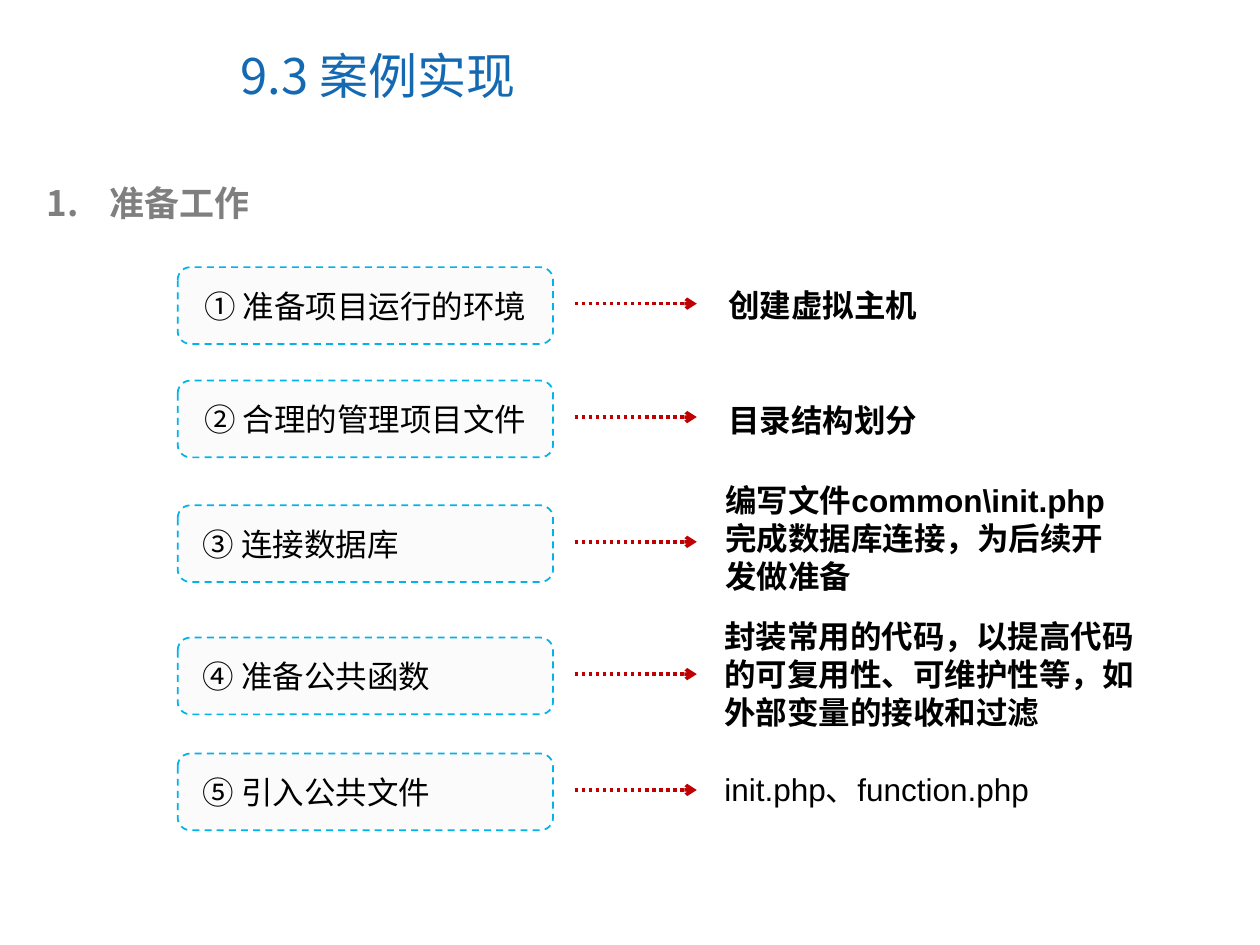
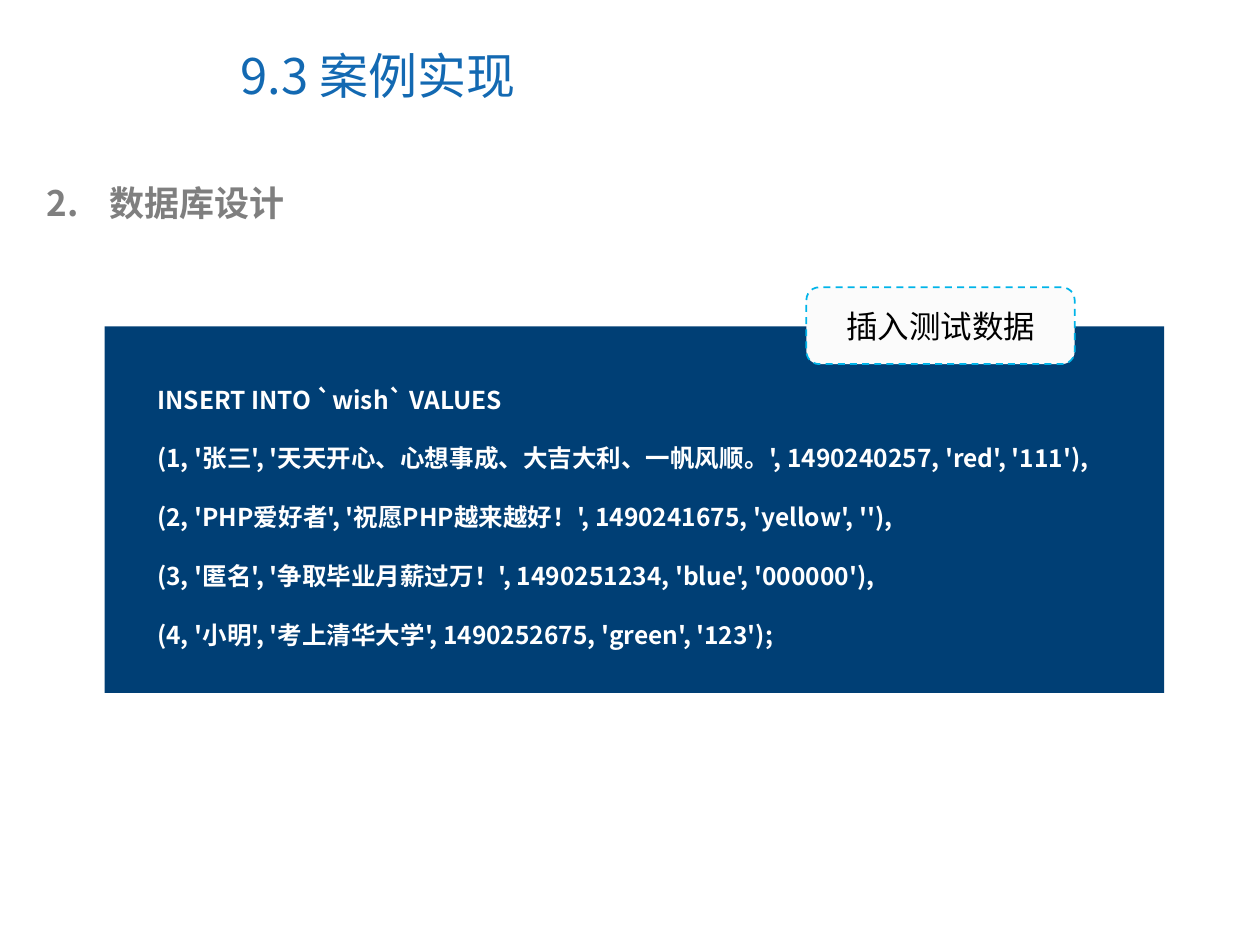
import pptx
import pptx.dml.color
import pptx.enum.dml
import pptx.enum.shapes
import pptx.enum.text
import pptx.oxml
import pptx.oxml.ns
import pptx.util
from lxml import etree

FONT = "Noto Sans CJK SC"
BLUE, GREY, BLACK, WHITE = "1369B2", "7F7F7F", "000000", "FFFFFF"
NAVY, CYAN, RED, PALE = "003F75", "00B4E9", "C00000", "FBFBFB"
LEFT = pptx.enum.text.PP_ALIGN.LEFT
CENTER = pptx.enum.text.PP_ALIGN.CENTER
SHAPES = pptx.enum.shapes.MSO_SHAPE
DASHES = pptx.enum.dml.MSO_LINE

deck = pptx.Presentation()
deck.slide_width = pptx.util.Inches(10)
deck.slide_height = pptx.util.Inches(7.5)
CELL = deck.slide_width / 100  # the grid has 100 columns and 75 rows


def color(value):
    return pptx.dml.color.RGBColor.from_string(value)


def add_text(page, text, at, size=18, font=FONT, ink=BLACK, bold=False,
             align=LEFT, card=False, middle=False, spacing=None):
    """Write text at (column, row, columns, rows), on a dashed card if asked."""
    place = [round(length * CELL) for length in at]
    if card:
        box = page.shapes.add_shape(SHAPES.ROUNDED_RECTANGLE, *place)
        box.shadow.inherit = False
        box.fill.solid()
        box.fill.fore_color.rgb = color(PALE)
        box.line.color.rgb = color(CYAN)
        box.line.width = pptx.util.Pt(1)
        box.line.dash_style = DASHES.DASH
    else:
        box = page.shapes.add_textbox(*place)
    frame = box.text_frame
    frame.word_wrap = True
    anchors = pptx.enum.text.MSO_ANCHOR
    frame.vertical_anchor = anchors.MIDDLE if card or middle else anchors.TOP
    frame.text = text
    for para in frame.paragraphs:
        para.alignment = align
        para.line_spacing = spacing
        for span in para.runs:
            span.font.size = pptx.util.Pt(size)
            span.font.name = font
            span.font.bold = bold
            span.font.color.rgb = color(ink)
            asian = etree.SubElement(span.font._element, pptx.oxml.ns.qn("a:ea"))
            asian.set("typeface", FONT)
    return box


# What both slides share: the title and a numbered heading
pages = []
for number, heading in enumerate(["准备工作", "数据库设计"], start=1):
    page = deck.slides.add_slide(deck.slide_layouts[6])
    pages.append(page)
    add_text(page, "9.3 案例实现", (18.1, 1.7, 51.6, 8.5), size=28, ink=BLUE, middle=True)
    box = add_text(page, heading, (2.7, 13.9, 92.2, 4.4), size=20, ink=GREY, bold=True)
    properties = box.text_frame.paragraphs[0]._p.get_or_add_pPr()
    indent = pptx.util.Inches(0.5)
    properties.set("marL", str(indent))
    properties.set("indent", str(-indent))
    tint = etree.SubElement(properties, pptx.oxml.ns.qn("a:buClr"))
    etree.SubElement(tint, pptx.oxml.ns.qn("a:srgbClr")).set("val", GREY)
    bullet = etree.SubElement(properties, pptx.oxml.ns.qn("a:buAutoNum"))
    bullet.set("type", "arabicPeriod")
    bullet.set("startAt", str(number))
steps_page, data_page = pages

# Steps: card row, card text, alignment, result place, result text, bold
steps = [
    (21.2, "① 准备项目运行的环境", CENTER, (56.8, 22.2, 17, 4), "创建虚拟主机", True),
    (30.2, "② 合理的管理项目文件", CENTER, (56.8, 31.3, 17, 4), "目录结构划分", True),
    (40.1, "③ 连接数据库", LEFT, (56.6, 37.7, 34.4, 10),
     "编写文件common\\init.php完成数据库连接，为后续开发做准备", True),
    (50.6, "④ 准备公共函数", LEFT, (56.5, 48.5, 34.5, 10),
     "封装常用的代码，以提高代码的可复用性、可维护性等，如外部变量的接收和过滤", True),
    (59.8, "⑤ 引入公共文件", LEFT, (56.5, 60.6, 34.5, 4), "init.php、function.php", False),
]
for row, step, align, result_at, result, bold in steps:
    card = add_text(steps_page, step, (14.1, row, 29.8, 6.1), font="Arial",
                    align=align, card=True)
    if align == LEFT:
        card.text_frame.margin_left = pptx.util.Inches(0.17)
    label = add_text(steps_page, result, result_at, font="Arial", bold=bold)
    label.text_frame.word_wrap = result_at[2] > 20

    ends = [round(length * CELL) for length in (45.6, row + 2.9, 55.3, row + 2.9)]
    arrow = steps_page.shapes.add_connector(
        pptx.enum.shapes.MSO_CONNECTOR.STRAIGHT, *ends)
    arrow.line.color.rgb = color(RED)
    arrow.line.width = pptx.util.Pt(2)
    arrow.line.dash_style = DASHES.ROUND_DOT
    tip = etree.SubElement(arrow.line._get_or_add_ln(), pptx.oxml.ns.qn("a:tailEnd"))
    tip.set("type", "arrow")
    etree.SubElement(arrow._element.spPr, pptx.oxml.ns.qn("a:effectLst"))

# Test data: the SQL statement on a dark panel, with a tag on its upper edge
panel_at = [round(length * CELL) for length in (8.3, 25.9, 84.1, 29.1)]
panel = data_page.shapes.add_shape(SHAPES.RECTANGLE, *panel_at)
panel.shadow.inherit = False
panel.fill.solid()
panel.fill.fore_color.rgb = color(NAVY)
panel.line.fill.background()

statement = [
    "INSERT INTO `wish` VALUES",
    "(1, '张三', '天天开心、心想事成、大吉大利、一帆风顺。', 1490240257, 'red', '111'),",
    "(2, 'PHP爱好者', '祝愿PHP越来越好！', 1490241675, 'yellow', ''),",
    "(3, '匿名', '争取毕业月薪过万！', 1490251234, 'blue', '000000'),",
    "(4, '小明', '考上清华大学', 1490252675, 'green', '123');",
]
add_text(data_page, "\n".join(statement), (11.5, 27.7, 82.6, 24.4), size=14,
         ink=WHITE, bold=True, spacing=2.0)
add_text(data_page, "插入测试数据", (64, 22.8, 21.3, 6.1), font="Arial",
         align=CENTER, card=True)

deck.save("out.pptx")
